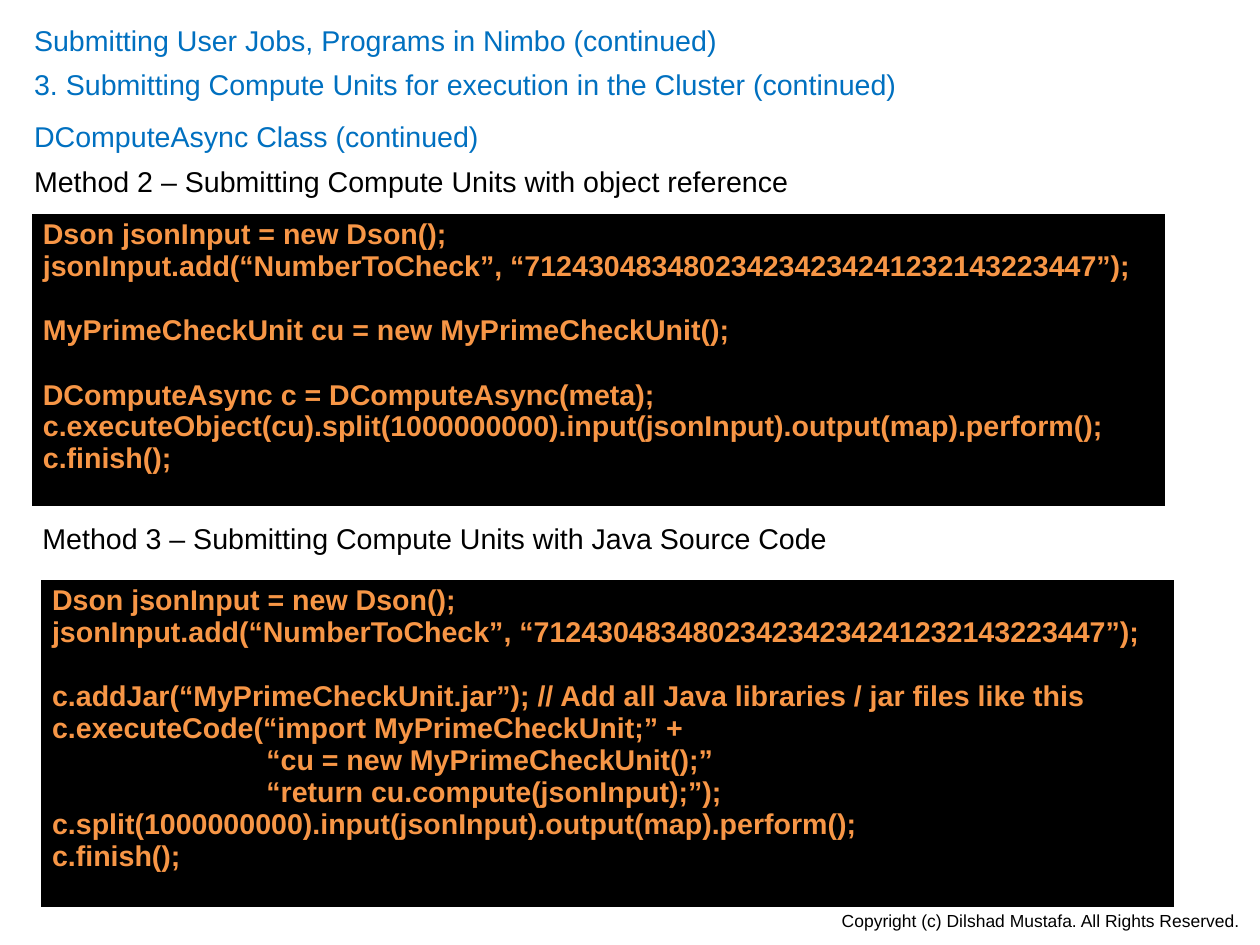
from dataclasses import dataclass

from lxml import etree
from pptx import Presentation
from pptx import util as u
from pptx.dml import color
from pptx.enum import text
from pptx.oxml import ns

Pt = u.Pt


@dataclass(frozen=True)
class Theme:
    font: str = "Arial"
    heading: str = "0070C0"
    body: str = "000000"
    code: str = "F79646"
    panel: str = "000000"
    border: str = "FFFFFF"
    size: float = 18
    small: float = 11
    line: float = 20.2


THEME = Theme()
HANGING = {"marL": Pt(27), "indent": Pt(-27)}
CONTINUED = {"marL": Pt(135), "indent": 0}
BORDERS = {"lnL": 1, "lnR": 1, "lnT": 1, "lnB": 3}

HEADINGS = [
    (10.8, 523.4, "Submitting User Jobs, Programs in Nimbo (continued)"),
    (38.5, 568.1, "3. Submitting Compute Units for execution in the Cluster (continued)"),
    (71.6, 523.4, "DComputeAsync Class (continued)"),
]

INPUT_BLOCK = [
    "Dson jsonInput = new Dson();",
    "jsonInput.add(“NumberToCheck”, “712430483480234234234241232143223447”);",
]
OBJECT_CODE = [
    INPUT_BLOCK,
    ["MyPrimeCheckUnit cu = new MyPrimeCheckUnit();"],
    [
        "DComputeAsync c = DComputeAsync(meta);",
        "c.executeObject(cu).split(1000000000).input(jsonInput).output(map).perform();",
        "c.finish();",
    ],
]
SOURCE_CODE = [
    INPUT_BLOCK,
    [
        "c.addJar(“MyPrimeCheckUnit.jar”); // Add all Java libraries / jar files like this",
        "c.executeCode(“import MyPrimeCheckUnit;” +",
        "“cu = new MyPrimeCheckUnit();”",
        "“return cu.compute(jsonInput);”);",
        "c.split(1000000000).input(jsonInput).output(map).perform();",
        "c.finish();",
    ],
]


def write_span(para, words, tint, size=THEME.size, bold=False):
    span = para.add_run()
    span.text = words
    formats = {"name": THEME.font, "size": Pt(size), "bold": bold}
    for name, value in formats.items():
        setattr(span.font, name, value)
    span.font.color.rgb = color.RGBColor.from_string(tint)


def indent_para(para, indents):
    properties = para._p.get_or_add_pPr()
    for name, value in indents.items():
        properties.set(name, str(int(value)))


def add_label(page, area, words, tint, size=THEME.size, wrap=False, indents=None):
    box = page.shapes.add_textbox(*map(Pt, area))
    formats = {"word_wrap": wrap, "auto_size": text.MSO_AUTO_SIZE.SHAPE_TO_FIT_TEXT}
    for name, value in formats.items():
        setattr(box.text_frame, name, value)
    para = box.text_frame.paragraphs[0]
    indent_para(para, indents or {})
    write_span(para, words, tint, size)


def add_borders(cell):
    properties = cell._tc.get_or_add_tcPr()
    for position, (side, width) in enumerate(BORDERS.items()):
        line = etree.Element(ns.qn(f"a:{side}"), w=str(int(Pt(width))))
        fill = etree.SubElement(line, ns.qn("a:solidFill"))
        etree.SubElement(fill, ns.qn("a:srgbClr"), val=THEME.border)
        properties.insert(position, line)


def add_code_panel(page, area, blocks):
    table = page.shapes.add_table(1, 1, *map(Pt, area)).table
    for name in ("first_row", "horz_banding"):
        setattr(table, name, False)
    cell = table.cell(0, 0)
    cell.fill.solid()
    cell.fill.fore_color.rgb = color.RGBColor.from_string(THEME.panel)
    add_borders(cell)
    frame = cell.text_frame
    for block_index, block in enumerate(blocks):
        for line_index, words in enumerate(block):
            first = block_index == line_index == 0
            para = frame.paragraphs[0] if first else frame.add_paragraph()
            if block_index and line_index == 0:
                para.space_before = Pt(THEME.line)
            if words.startswith("“"):
                indent_para(para, CONTINUED)
            write_span(para, words, THEME.code, bold=True)


def add_headings(page, left, height):
    for top, width, words in HEADINGS:
        add_label(page, (left, top, width, height), words, THEME.heading,
                  wrap=True, indents=HANGING)


def add_method(page, label_area, title, panel_area, blocks):
    add_label(page, label_area, title, THEME.body)
    add_code_panel(page, panel_area, blocks)


def add_footer(page, area):
    add_label(page, area, "Copyright (c) Dilshad Mustafa. All Rights Reserved.",
              THEME.body, THEME.small)


def main():
    deck = Presentation()
    deck.slide_width, deck.slide_height = Pt(793.7), Pt(595.28)
    page = deck.slides.add_slide(deck.slide_layouts[6])
    add_headings(page, 14.4, 29)
    add_method(page, (14.4, 99.7, 504, 29),
               "Method 2 – Submitting Compute Units with object reference",
               (19.8, 134.3, 714.2, 185.8), OBJECT_CODE)
    add_method(page, (19.7, 324.3, 513.4, 29),
               "Method 3 – Submitting Compute Units with Java Source Code",
               (25.6, 364.7, 714.2, 208.1), SOURCE_CODE)
    add_footer(page, (523.1, 569.5, 267.8, 20.9))
    deck.save("out.pptx")


if __name__ == "__main__":
    main()
